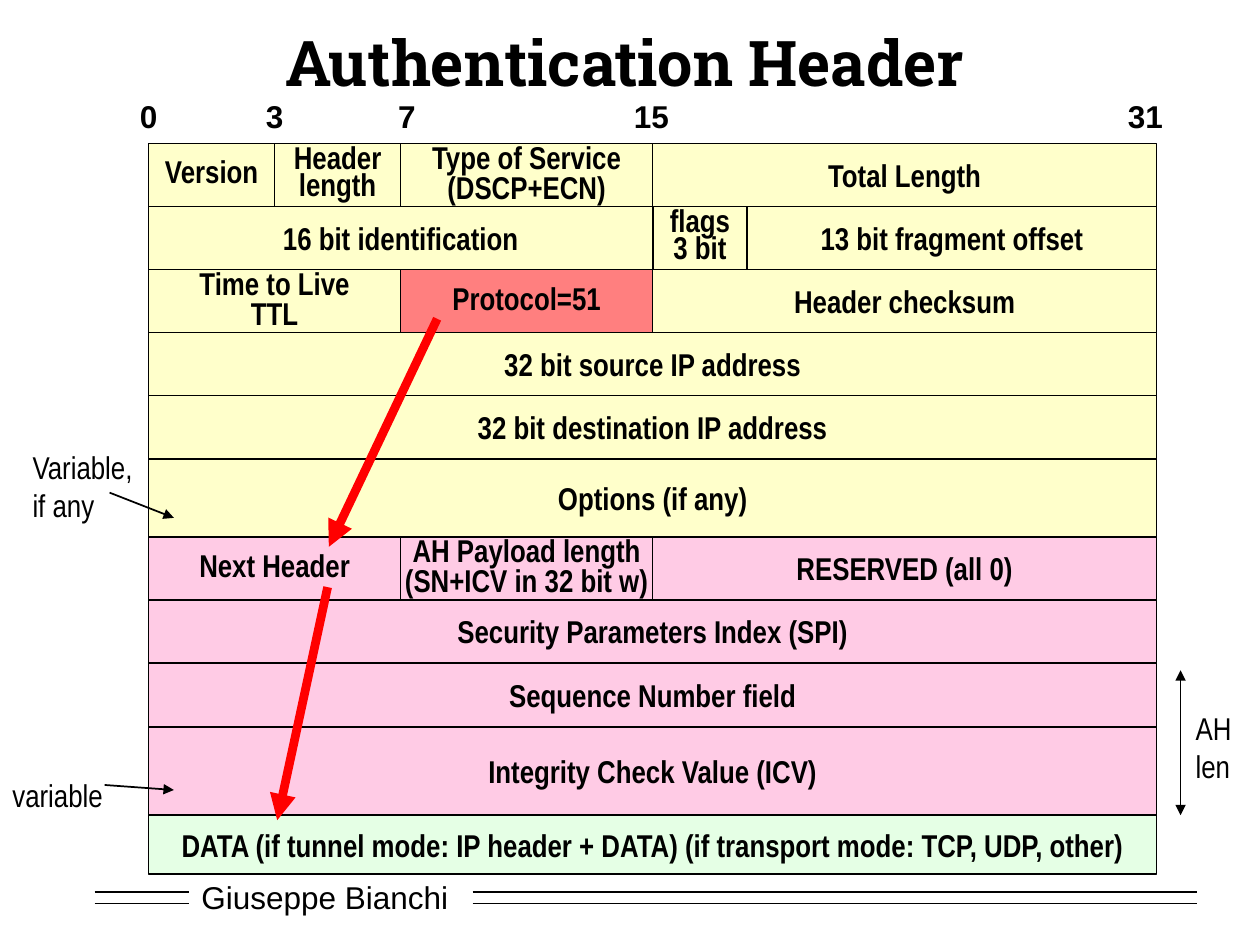
from lxml import etree
from pptx import Presentation
from pptx.dml.color import RGBColor
from pptx.enum.shapes import MSO_CONNECTOR, MSO_SHAPE
from pptx.enum.text import MSO_ANCHOR, MSO_AUTO_SIZE, PP_ALIGN
from pptx.oxml.ns import qn
from pptx.util import Inches, Pt

RECTANGLE = MSO_SHAPE.RECTANGLE
STRAIGHT = MSO_CONNECTOR.STRAIGHT
MIDDLE = MSO_ANCHOR.MIDDLE
CENTER, LEFT = PP_ALIGN.CENTER, PP_ALIGN.LEFT
NO_AUTOFIT = MSO_AUTO_SIZE.NONE

BLACK, WHITE, RED = "000000", "FFFFFF", "FF0000"
YELLOW, PINK, GREEN = "FFFF99", "FF99CC", "CCFFCC"
NARROW = "Arial Narrow"

GRID_LEFT, GRID_TOP, BIT_WIDTH = 1.18, 1.14, 0.25

# Each row: height, then fields of (bits, lines of text, colour, line spacing)
ROWS = [
    (0.5, [(4, ["Version"], YELLOW, 0.7),
           (4, ["Header", "length"], YELLOW, 0.7),
           (8, ["Type of Service", "(DSCP+ECN)"], YELLOW, 0.8),
           (16, ["Total Length"], YELLOW, 1)]),
    (0.5, [(16, ["16 bit identification"], YELLOW, 1),
           (3, ["flags", "3 bit"], YELLOW, 0.7),
           (13, ["13 bit fragment offset"], YELLOW, 1)]),
    (0.5, [(8, ["Time to Live", "TTL"], YELLOW, 0.8),
           (8, ["Protocol=51"], RED, 0.8),
           (16, ["Header checksum"], YELLOW, 1)]),
    (0.5, [(32, ["32 bit source IP address"], YELLOW, 1)]),
    (0.5, [(32, ["32 bit destination IP address"], YELLOW, 1)]),
    (0.62, [(32, ["Options (if any)"], YELLOW, 1)]),
    (0.5, [(8, ["Next Header"], PINK, 0.8),
           (8, ["AH Payload length", "(SN+ICV in 32 bit w)"], PINK, 0.8),
           (16, ["RESERVED (all 0)"], PINK, 1)]),
    (0.5, [(32, ["Security Parameters Index (SPI)"], PINK, 1)]),
    (0.51, [(32, ["Sequence Number field"], PINK, 1)]),
    (0.7, [(32, ["Integrity Check Value (ICV)"], PINK, 1)]),
    (0.47, [(32, ["DATA (if tunnel mode: IP header + DATA) "
                  "(if transport mode: TCP, UDP, other)"], GREEN, 1)]),
]

# Bit number and the centre of its label
BIT_LABELS = [("0", 1.18), ("3", 2.18), ("7", 3.23), ("15", 5.17), ("31", 9.09)]


def rgb(color):
    return RGBColor.from_string(color)


def write_lines(frame, lines, font_name, size=18, bold=False, align=LEFT, spacing=None):
    for index, line in enumerate(lines):
        paragraph = frame.paragraphs[0] if index == 0 else frame.add_paragraph()
        paragraph.alignment = align
        if spacing:
            paragraph.line_spacing = spacing
        for part_index, part in enumerate(line.split("\n")):
            if part_index:
                paragraph.add_line_break()
            run = paragraph.add_run()
            run.text = part
            run.font.name = font_name
            run.font.size = Pt(size)
            run.font.bold = bold
            run.font.color.rgb = rgb(BLACK)


def add_title(slide, text):
    title = slide.shapes.title
    title.left, title.top = Inches(0.75), Inches(0.13)
    title.width, title.height = Inches(8.42), Inches(0.71)
    frame = title.text_frame
    frame.auto_size = NO_AUTOFIT
    frame.vertical_anchor = MIDDLE
    write_lines(frame, [text], "Roboto Slab", 36, True, CENTER)


def add_label(slide, box, lines, font_name=NARROW, bold=False, align=LEFT):
    label = slide.shapes.add_textbox(*map(Inches, box))
    label.text_frame.word_wrap = False
    write_lines(label.text_frame, lines, font_name, bold=bold, align=align)
    return label


def add_field(slide, box, lines, color, spacing):
    """Draw one header field in a half-transparent colour."""
    field = slide.shapes.add_shape(RECTANGLE, *map(Inches, box))
    field.shadow.inherit = False
    field.fill.solid()
    field.fill.fore_color.rgb = rgb(color)
    color_element = field.fill._xPr.find(qn("a:solidFill"))[0]
    etree.SubElement(color_element, qn("a:alpha"), val="50000")
    field.line.color.rgb = rgb(BLACK)
    field.line.width = Pt(1)
    frame = field.text_frame
    frame.word_wrap = False
    frame.vertical_anchor = MIDDLE
    write_lines(frame, lines, NARROW, bold=True, align=CENTER, spacing=spacing)


def add_line(slide, start, end, color=BLACK, width=1, arrowheads=()):
    """Draw a straight line; arrowheads may name headEnd (start) and tailEnd (end)."""
    connector = slide.shapes.add_connector(STRAIGHT, *map(Inches, (*start, *end)))
    connector.line.color.rgb = rgb(color)
    connector.line.width = Pt(width)
    line_element = connector.line._get_or_add_ln()
    for arrowhead in arrowheads:
        etree.SubElement(line_element, qn(f"a:{arrowhead}"), type="triangle")
    etree.SubElement(connector._element.spPr, qn("a:effectLst"))


def add_footer(slide):
    footer = add_label(slide, (1.5, 6.92, 2.17, 0.4), ["Giuseppe Bianchi"], "Arial")
    footer.text_frame.vertical_anchor = MIDDLE
    footer.fill.solid()
    footer.fill.fore_color.rgb = rgb(WHITE)
    for y in (7.08, 7.17):
        for left, right in ((0.75, 1.5), (3.75, 9.5)):
            add_line(slide, (left, y), (right, y))


def add_header_grid(slide):
    for text, center in BIT_LABELS:
        width = 0.34 if len(text) == 1 else 0.48
        add_label(slide, (center - width / 2, 0.72, width, 0.4), [text],
                  "Arial", True, CENTER)
    top = GRID_TOP
    for height, fields in ROWS:
        left = GRID_LEFT
        for bits, lines, color, spacing in fields:
            width = bits * BIT_WIDTH
            add_field(slide, (left, top, width, height), lines, color, spacing)
            left += width
        top += height


def add_annotations(slide):
    add_label(slide, (0, 6.11, 0.92, 0.4), ["variable"])
    add_label(slide, (0.16, 3.51, 1.01, 0.7), ["Variable,\nif any"])
    add_label(slide, (9.39, 5.58, 0.49, 0.7), ["AH", "len"])
    add_line(slide, (0.83, 6.23), (1.38, 6.27), arrowheads=["tailEnd"])
    add_line(slide, (0.87, 3.91), (1.38, 4.11), arrowheads=["tailEnd"])
    add_line(slide, (9.37, 5.32), (9.37, 6.47), arrowheads=["headEnd", "tailEnd"])
    add_line(slide, (3.47, 2.53), (2.61, 4.34), RED, 5, ["tailEnd"])
    add_line(slide, (2.6, 4.66), (2.2, 6.51), RED, 5, ["tailEnd"])


def main():
    presentation = Presentation()
    presentation.slide_width, presentation.slide_height = Inches(10), Inches(7.5)
    slide = presentation.slides.add_slide(presentation.slide_layouts[5])
    add_footer(slide)
    add_title(slide, "Authentication Header")
    add_header_grid(slide)
    add_annotations(slide)
    presentation.save("out.pptx")


if __name__ == "__main__":
    main()
